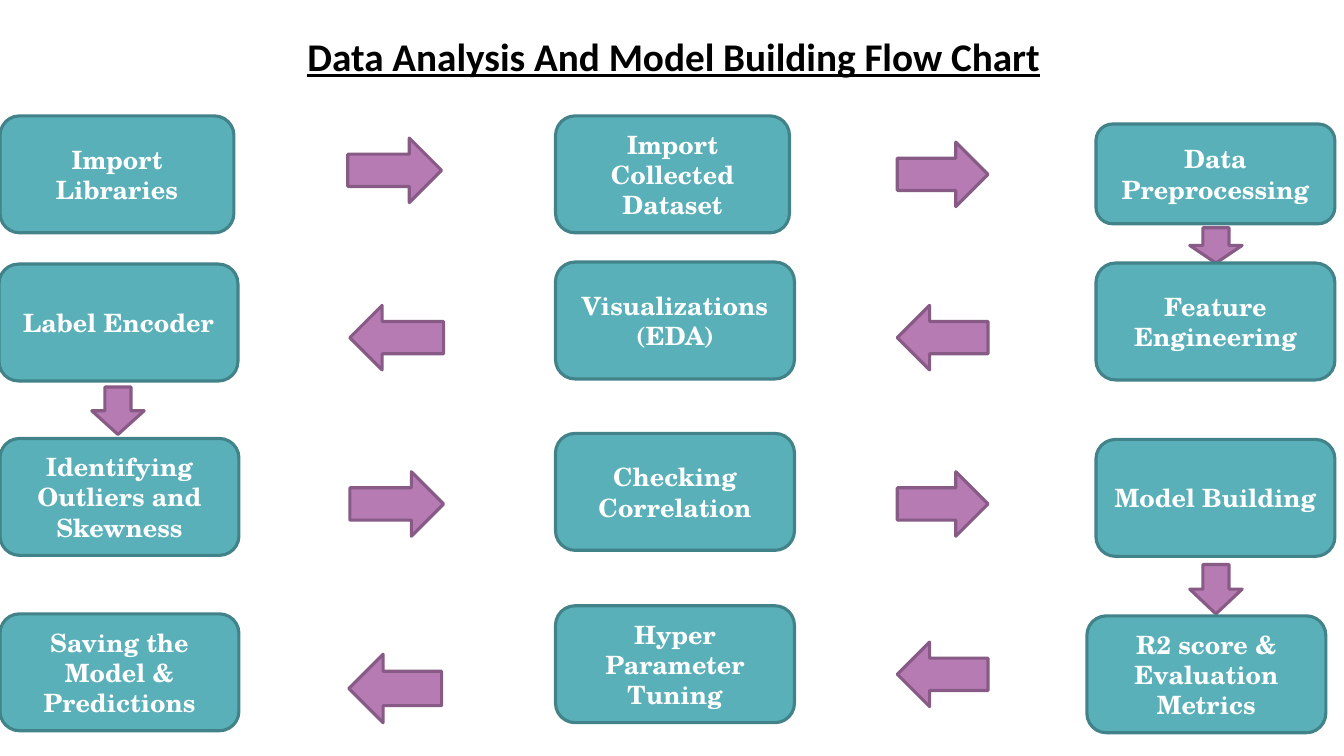
from pptx import Presentation
from pptx.dml.color import RGBColor
from pptx.enum.shapes import MSO_SHAPE as SHAPE
from pptx.enum.text import MSO_ANCHOR as ANCHOR, MSO_AUTO_SIZE as AUTO_SIZE, PP_ALIGN as ALIGN
from pptx.util import Inches, Pt

BLACK = RGBColor(0x00, 0x00, 0x00)
WHITE = RGBColor(0xFF, 0xFF, 0xFF)
TEAL = RGBColor(0x59, 0xB0, 0xB9)
DARK_TEAL = RGBColor(0x42, 0x82, 0x89)
PURPLE = RGBColor(0xB7, 0x7B, 0xB4)
DARK_PURPLE = RGBColor(0x87, 0x5B, 0x85)

BOX_W, BOX_H = 2.37, 1.16
ARROW_H = 0.64

# Each step: text, left, top, width, height
STEPS = [
    ("Import Libraries", 0, 1.15, 2.32, BOX_H),
    ("Import Collected Dataset", 5.51, 1.15, 2.32, BOX_H),
    ("Data Preprocessing", 10.87, 1.23, BOX_W, 0.99),
    ("Feature Engineering", 10.87, 2.61, BOX_W, BOX_H),
    ("Visualizations\n(EDA)", 5.51, 2.6, BOX_W, BOX_H),
    ("Label Encoder", -0.01, 2.62, BOX_W, BOX_H),
    ("Identifying Outliers and Skewness", 0, 4.35, BOX_W, BOX_H),
    ("Checking Correlation", 5.51, 4.3, BOX_W, BOX_H),
    ("Model Building", 10.87, 4.36, BOX_W, BOX_H),
    ("R2 score & Evaluation Metrics", 10.78, 6.11, BOX_W, BOX_H),
    ("Hyper Parameter Tuning", 5.51, 6.01, BOX_W, BOX_H),
    ("Saving the Model & Predictions", 0, 6.09, BOX_W, BOX_H),
]

# Each arrow: left, top, width, height
RIGHT_ARROWS = [
    (3.45, 1.37, 0.93, ARROW_H), (8.9, 1.41, 0.9, ARROW_H),
    (3.47, 4.68, 0.93, ARROW_H), (8.9, 4.68, 0.9, ARROW_H),
]
LEFT_ARROWS = [
    (3.47, 3.03, 0.93, ARROW_H), (8.9, 3.03, 0.9, ARROW_H),
    (3.46, 6.49, 0.92, 0.68), (8.9, 6.37, 0.9, ARROW_H),
]
DOWN_ARROWS = [
    (11.8, 2.26, 0.52, 0.35), (0.91, 3.84, 0.52, 0.47), (11.8, 5.6, 0.52, 0.49),
]


class FlowChart:
    """Draws the flow chart's elements on one slide in one style."""

    def __init__(self, slide):
        self.slide = slide
        self.step_font = "TeX Gyre Schola"
        self.title_font = "Calibri"
        self.line_width = Pt(2.25)

    def add_text(self, p, text, font, size, color, underline=None):
        p.alignment = ALIGN.CENTER
        r = p.add_run()
        r.text = text
        r.font.name = font
        r.font.size = Pt(size)
        r.font.bold = True
        r.font.underline = underline
        r.font.color.rgb = color

    def title(self, text, left, top, width, height):
        sp = self.slide.shapes.title
        sp.left, sp.top = Inches(left), Inches(top)
        sp.width, sp.height = Inches(width), Inches(height)
        tf = sp.text_frame
        tf.word_wrap = True
        tf.auto_size = AUTO_SIZE.NONE
        tf.vertical_anchor = ANCHOR.TOP
        self.add_text(tf.paragraphs[0], text, self.title_font, 28, BLACK, underline=True)

    def shape(self, kind, box, fill, line):
        sp = self.slide.shapes.add_shape(kind, *(Inches(v) for v in box))
        sp.shadow.inherit = False
        sp.fill.solid()
        sp.fill.fore_color.rgb = fill
        sp.line.color.rgb = line
        sp.line.width = self.line_width
        return sp

    def step(self, text, *box):
        sp = self.shape(SHAPE.FLOWCHART_ALTERNATE_PROCESS, box, TEAL, DARK_TEAL)
        tf = sp.text_frame
        tf.word_wrap = True
        tf.vertical_anchor = ANCHOR.MIDDLE
        for i, line in enumerate(text.split("\n")):
            p = tf.add_paragraph() if i else tf.paragraphs[0]
            self.add_text(p, line, self.step_font, 18, WHITE)

    def arrow(self, kind, box):
        self.shape(kind, box, PURPLE, DARK_PURPLE)


def main():
    prs = Presentation()
    prs.slide_width, prs.slide_height = Inches(13.33), Inches(7.5)
    title_only = prs.slide_layouts[5]
    chart = FlowChart(prs.slides.add_slide(title_only))

    chart.title("Data Analysis And Model Building Flow Chart", -0.02, 0.27, 13.4, 0.57)
    for kind, boxes in ((SHAPE.RIGHT_ARROW, RIGHT_ARROWS),
                        (SHAPE.LEFT_ARROW, LEFT_ARROWS),
                        (SHAPE.DOWN_ARROW, DOWN_ARROWS)):
        for box in boxes:
            chart.arrow(kind, box)
    for step in STEPS:
        chart.step(*step)

    prs.save("out.pptx")


if __name__ == "__main__":
    main()
